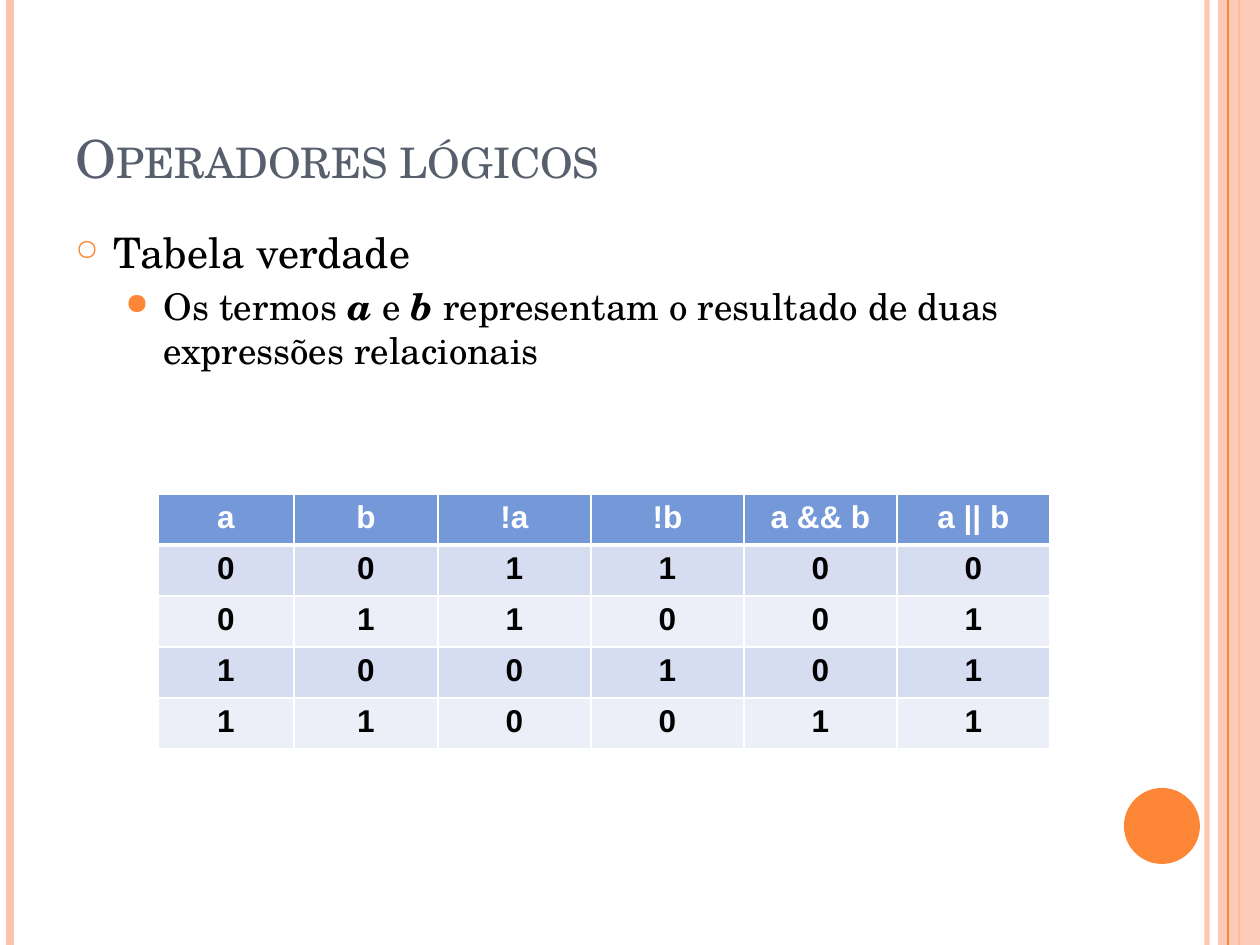
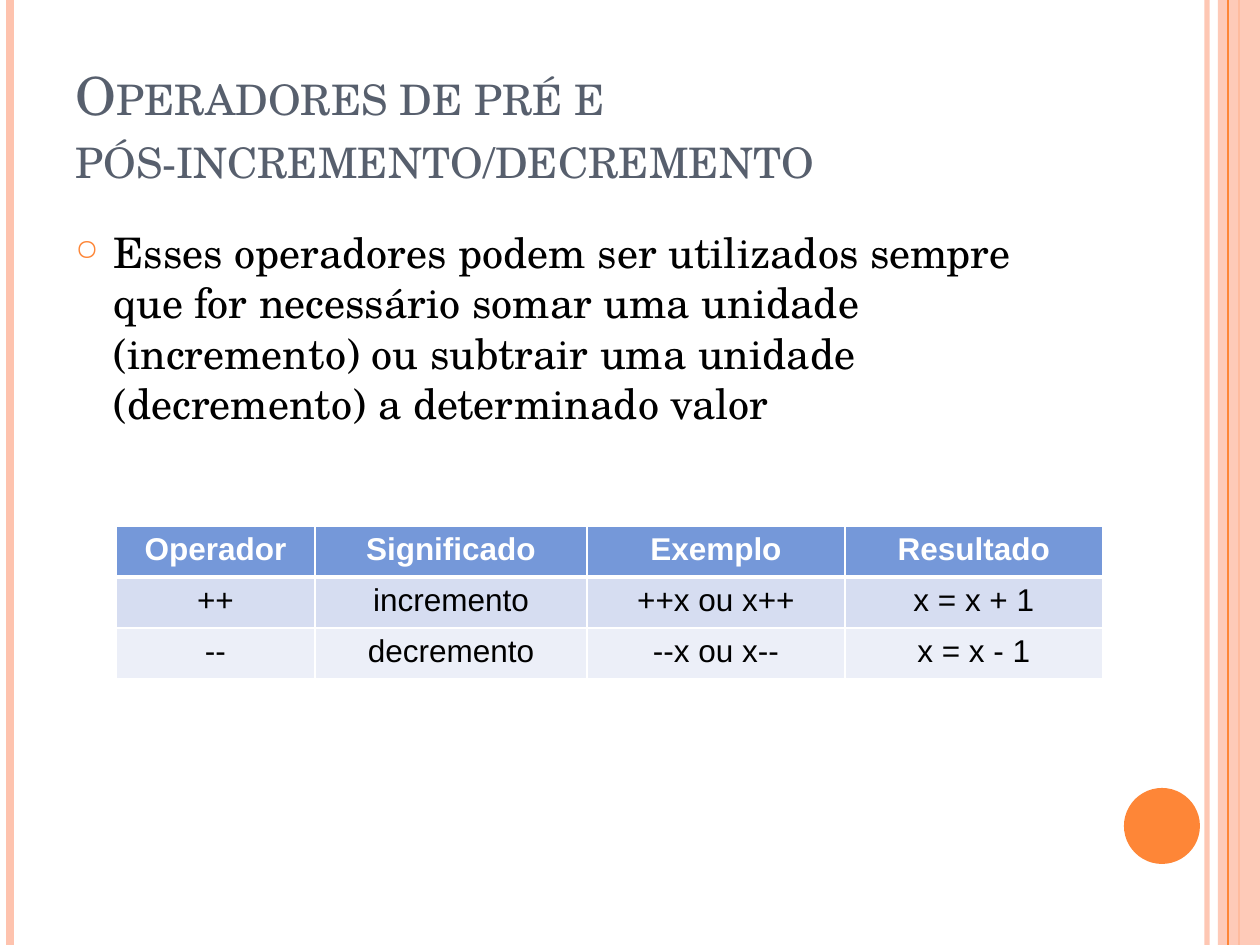
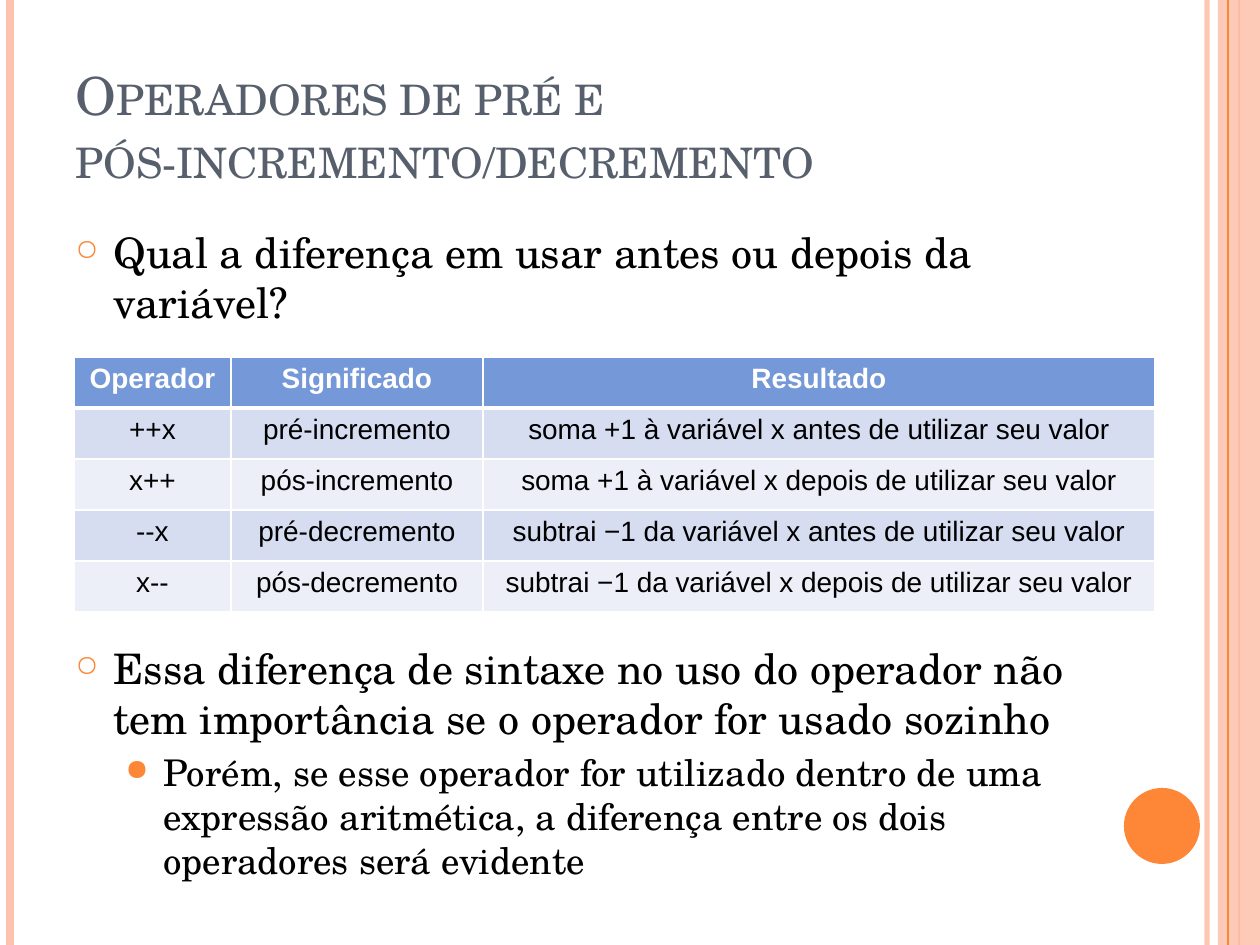
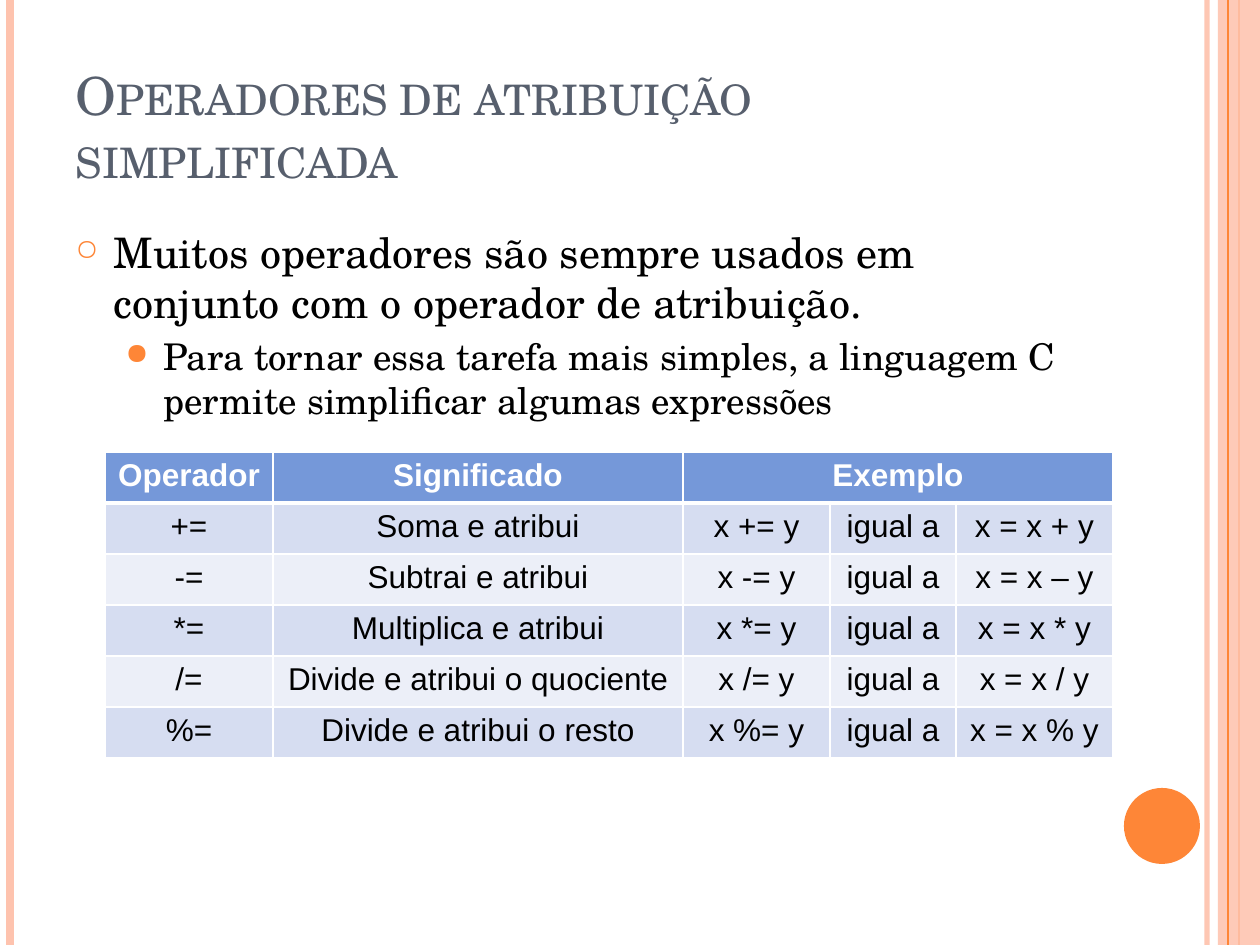
from pptx import Presentation
from pptx.dml.color import RGBColor
from pptx.enum.shapes import MSO_CONNECTOR, MSO_SHAPE
from pptx.enum.text import MSO_ANCHOR, MSO_AUTO_SIZE, PP_ALIGN
from pptx.oxml.ns import qn
from pptx.util import Emu, Pt
from lxml.etree import SubElement

STRAIGHT = MSO_CONNECTOR.STRAIGHT
RECTANGLE, OVAL = MSO_SHAPE.RECTANGLE, MSO_SHAPE.OVAL
BOTTOM = MSO_ANCHOR.BOTTOM
NO_AUTOFIT = MSO_AUTO_SIZE.NONE
LEFT, CENTER = PP_ALIGN.LEFT, PP_ALIGN.CENTER

PX_PER_INCH = 126
WIDTH, HEIGHT = 1260, 945
ROW_HEIGHT = 51

ORANGE, PEACH = "FE8637", "FEC3AE"
SLATE, BLACK, WHITE = "575F6D", "000000", "FFFFFF"
HEADER_BLUE = "7598D9"
ROW_BLUES = ["D6DDF1", "ECEFF8"]
SERIF, SANS = "TeX Gyre Schola", "Arial"

# Per level: left indent, size, space before, bullet, bullet size in percent
LEVELS = [
    (38, 24, 6, "○", 70),
    (88, 21, 4, "●", 80),
]
HANGING = 38

# Body paragraphs: level, extra space before in points, runs (text, emphasised)
CONTENT = [
    {
        "title": "Operadores lógicos",
        "body": [
            (0, 0, [("Tabela verdade", False)]),
            (1, 0, [("Os termos ", False), ("a", True), (" e ", False), ("b", True),
                    (" representam o resultado de duas expressões relacionais", False)]),
        ],
        "table": {
            "left": 158, "top": 494, "size": 18, "bold": True,
            "columns": [136, 144, 153, 153, 153, 153],
            "rows": [
                ["a", "b", "!a", "!b", "a && b", "a || b"],
                ["0", "0", "1", "1", "0", "0"],
                ["0", "1", "1", "0", "0", "1"],
                ["1", "0", "0", "1", "0", "1"],
                ["1", "1", "0", "0", "1", "1"],
            ],
        },
    },
    {
        "title": "Operadores de pré e pós-incremento/decremento",
        "body": [
            (0, 0, [("Esses operadores podem ser utilizados sempre que for necessário "
                     "somar uma unidade (incremento) ou subtrair uma unidade "
                     "(decremento) a determinado valor", False)]),
        ],
        "table": {
            "left": 116, "top": 526, "size": 18, "bold": False,
            "columns": [199, 272, 258, 258],
            "rows": [
                ["Operador", "Significado", "Exemplo", "Resultado"],
                ["++", "incremento", "++x ou x++", "x = x + 1"],
                ["--", "decremento", "--x ou x--", "x = x - 1"],
            ],
        },
    },
    {
        "title": "Operadores de pré e pós-incremento/decremento",
        "body": [
            (0, 0, [("Qual a diferença em usar antes ou depois da variável?", False)]),
            (0, 174, [("Essa diferença de sintaxe no uso do operador não tem importância "
                       "se o operador for usado sozinho", False)]),
            (1, 0, [("Porém, se esse operador for utilizado dentro de uma expressão "
                     "aritmética, a diferença entre os dois operadores será evidente",
                     False)]),
        ],
        "table": {
            "left": 74, "top": 357, "size": 16, "bold": False,
            "columns": [157, 252, 672],
            "rows": [
                ["Operador", "Significado", "Resultado"],
                ["++x", "pré-incremento",
                 "soma +1 à variável x antes de utilizar seu valor"],
                ["x++", "pós-incremento",
                 "soma +1 à variável x depois de utilizar seu valor"],
                ["--x", "pré-decremento",
                 "subtrai −1 da variável x antes de utilizar seu valor"],
                ["x--", "pós-decremento",
                 "subtrai −1 da variável x depois de utilizar seu valor"],
            ],
        },
    },
    {
        "title": "Operadores de atribuição simplificada",
        "body": [
            (0, 0, [("Muitos operadores são sempre usados em conjunto com o operador "
                     "de atribuição.", False)]),
            (1, 0, [("Para tornar essa tarefa mais simples, a linguagem C permite "
                     "simplificar algumas expressões", False)]),
        ],
        "table": {
            "left": 105, "top": 452, "size": 18, "bold": False,
            "columns": [168, 410, 147, 126, 157],
            "rows": [
                ["Operador", "Significado", "Exemplo"],
                ["+=", "Soma e atribui", "x += y", "igual a", "x = x + y"],
                ["-=", "Subtrai e atribui", "x -= y", "igual a", "x = x – y"],
                ["*=", "Multiplica e atribui", "x *= y", "igual a", "x = x * y"],
                ["/=", "Divide e atribui o quociente", "x /= y", "igual a", "x = x / y"],
                ["%=", "Divide e atribui o resto", "x %= y", "igual a", "x = x % y"],
            ],
        },
    },
]


def px(*lengths):
    """Turn pixels into EMU: one value for one length, else a list."""
    values = [Emu(round(length * 914400 / PX_PER_INCH)) for length in lengths]
    return values[0] if len(values) == 1 else values


def paint(fill, color):
    """Give a solid colour to the fill of a shape, line, font or cell."""
    fill.solid()
    fill.fore_color.rgb = RGBColor.from_string(color)


deck = Presentation()
deck.slide_width, deck.slide_height = px(WIDTH, HEIGHT)
layout = deck.slide_layouts[5]
pages = [deck.slides.add_slide(layout) for _ in CONTENT]

# Decoration: drawn once, then moved to the layout that all slides share
shapes = pages[0].shapes
stripes = []
for x, color, weight in [(1207, PEACH, 3), (10, PEACH, 4.5),
                         (1239, ORANGE, 1.5), (1228, ORANGE, 0.75)]:
    stripe = shapes.add_connector(STRAIGHT, *px(x, 0, x, HEIGHT))
    paint(stripe.line.fill, color)
    stripe.line.width = Pt(weight)
    SubElement(stripe.element.spPr, qn("a:effectLst"))
    stripes.append(stripe)

band = shapes.add_shape(RECTANGLE, *px(1218, 0, 42, HEIGHT))
disc = shapes.add_shape(OVAL, *px(1124, 788, 76, 76))
for shape, color in [(band, PEACH), (disc, ORANGE)]:
    paint(shape.fill, color)
    shape.line.fill.background()
    shape.shadow.inherit = False

for shape, opacity in [(stripes[0], 93), (band, 87)]:
    color_element = next(shape.element.iter(qn("a:srgbClr")))
    SubElement(color_element, qn("a:alpha"), val=str(opacity * 1000))

decoration = [*stripes[:3], band, stripes[3], disc]
for position, shape in enumerate(decoration, start=2):
    layout.element.cSld.spTree.insert(position, shape.element)

for page, content in zip(pages, CONTENT):
    title = page.shapes.title
    title.left, title.top, title.width, title.height = px(63, 38, 1029, 157)
    frame = title.text_frame
    frame.word_wrap = True
    frame.auto_size = NO_AUTOFIT
    frame.vertical_anchor = BOTTOM
    para = frame.paragraphs[0]
    para.alignment = LEFT
    span = para.add_run()
    span.text = content["title"]
    span.font.name, span.font.size = SERIF, Pt(30)
    paint(span.font.fill, SLATE)
    span.font.element.set("cap", "small") if hasattr(span.font, "element") else \
        span.font.fill and para.runs[0]._r.get_or_add_rPr().set("cap", "small")

    box = page.shapes.add_textbox(*px(63, 220, 1029, 672))
    frame = box.text_frame
    frame.word_wrap = True
    for index, (level, gap, runs) in enumerate(content["body"]):
        indent, size, space, bullet, bullet_size = LEVELS[level]
        para = frame.add_paragraph() if index else frame.paragraphs[0]
        para.level = level
        para.space_before = Pt(space + gap)
        properties = para._p.get_or_add_pPr()
        properties.set("marL", str(px(indent)))
        properties.set("indent", str(-px(HANGING)))
        bullet_color = SubElement(properties, qn("a:buClr"))
        SubElement(bullet_color, qn("a:srgbClr"), val=ORANGE)
        SubElement(properties, qn("a:buSzPct"), val=str(bullet_size * 1000))
        SubElement(properties, qn("a:buChar"), char=bullet)
        for text, emphasised in runs:
            span = para.add_run()
            span.text = text
            span.font.name, span.font.size = SERIF, Pt(size)
            span.font.bold = span.font.italic = emphasised
            paint(span.font.fill, BLACK)

    grid = content["table"]
    rows, columns = grid["rows"], grid["columns"]
    table = page.shapes.add_table(
        len(rows), len(columns),
        *px(grid["left"], grid["top"], sum(columns), ROW_HEIGHT * len(rows))).table
    for column, width in zip(table.columns, columns):
        column.width = px(width)
    for row_index, texts in enumerate(rows):
        is_header = row_index == 0
        table.rows[row_index].height = px(ROW_HEIGHT)
        for column_index in range(len(columns)):
            cell = table.cell(row_index, column_index)
            # Borders come before the fill in the cell properties
            cell_properties = cell._tc.get_or_add_tcPr()
            for side in "LRTB":
                thick = (row_index, side) in [(0, "B"), (1, "T")]
                border = SubElement(cell_properties, qn(f"a:ln{side}"),
                                    w=str(Pt(3 if thick else 1)))
                border_fill = SubElement(border, qn("a:solidFill"))
                SubElement(border_fill, qn("a:srgbClr"), val=WHITE)
            paint(cell.fill, HEADER_BLUE if is_header else ROW_BLUES[(row_index - 1) % 2])
            if column_index >= len(texts):
                continue
            para = cell.text_frame.paragraphs[0]
            para.alignment = CENTER
            span = para.add_run()
            span.text = texts[column_index]
            span.font.name, span.font.size = SANS, Pt(grid["size"])
            span.font.bold = is_header or grid["bold"]
            paint(span.font.fill, WHITE if is_header else BLACK)
    # A short header row lets its last cell span the remaining columns
    if len(rows[0]) < len(columns):
        table.cell(0, len(rows[0]) - 1).merge(table.cell(0, len(columns) - 1))

deck.save("out.pptx")
